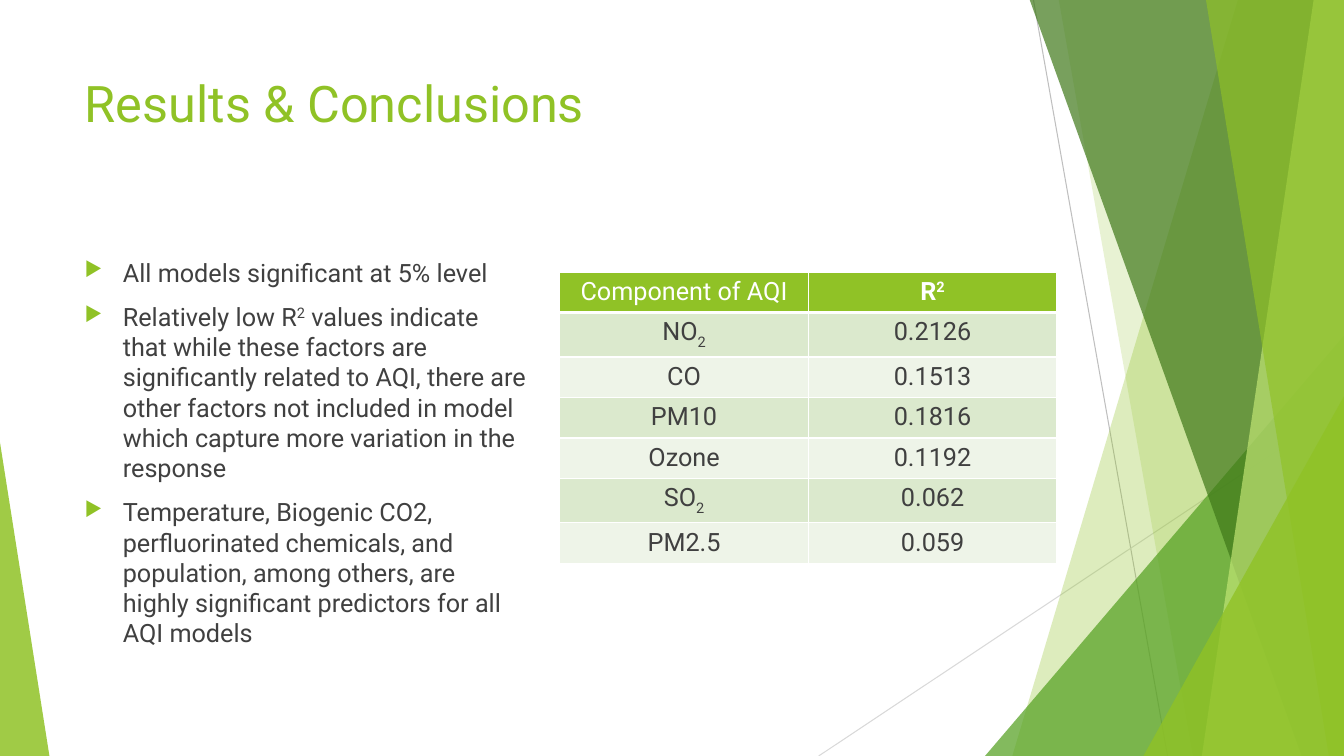
from dataclasses import dataclass

from lxml import etree
from pptx import Presentation
from pptx.dml.color import RGBColor
from pptx.enum import shapes as kinds
from pptx.enum import text as txt
from pptx.oxml.ns import qn
from pptx.util import Inches, Pt

FONT = "Roboto"
COLORS = {
    "lime": "90C226", "leaf": "54A021", "forest": "3F7819", "pale": "C0E474",
    "body": "404040", "white": "FFFFFF", "rule": "BFBFBF", "light_rule": "D9D9D9",
    "band_dark": "DBE9CD", "band_light": "EEF4E8",
}
TOP, RIGHT, BOTTOM = -0.01, 13.33, 7.5


@dataclass
class Rule:
    start: tuple[float, float]
    end: tuple[float, float]
    color: str


@dataclass
class Facet:
    """A panel reaching the right edge, with a slanted left side."""
    top_x: float
    bottom_x: float
    color: str
    opacity: int


@dataclass
class Corner:
    """A right triangle standing on the bottom edge."""
    left: float
    top: float
    width: float
    apex: float
    color: str
    opacity: int


@dataclass
class Piece:
    text: str
    baseline: int = 0


RULES = [
    Rule((10.25, 0), (11.58, BOTTOM), "rule"),
    Rule((RIGHT, 4.03), (8.12, BOTTOM), "light_rule"),
]
DECOR = [
    Facet(12.28, 10.04, "lime", 30),
    Facet(10.5, 11.83, "lime", 20),
    Corner(9.77, 3.33, 3.56, 1, "leaf", 72),
    Facet(10.21, 12.91, "forest", 70),
    Facet(13.03, 11.92, "pale", 70),
    Facet(11.96, 13.18, "lime", 65),
    Corner(11.34, 3.93, 1.99, 1, "lime", 80),
    Corner(0, 4.39, 0.49, 0, "lime", 85),
]
SQUARED = Piece("2", 30)
SUB_TWO = Piece("2", -25)
FINDINGS = [
    [Piece("All models significant at 5% level")],
    [Piece("Relatively low R"), SQUARED,
     Piece(" values indicate that while these factors are significantly related to AQI, "
           "there are other factors not included in model which capture more variation "
           "in the response")],
    [Piece("Temperature, Biogenic CO2, perfluorinated chemicals, and population, "
           "among others, are highly significant predictors for all AQI models")],
]
SCORES = [
    ([Piece("Component of AQI")], [Piece("R"), SQUARED]),
    ([Piece("NO"), SUB_TWO], [Piece("0.2126")]),
    ([Piece("CO")], [Piece("0.1513")]),
    ([Piece("PM10")], [Piece("0.1816")]),
    ([Piece("Ozone")], [Piece("0.1192")]),
    ([Piece("SO"), SUB_TWO], [Piece("0.062")]),
    ([Piece("PM2.5")], [Piece("0.059")]),
]


def rgb(name: str) -> RGBColor:
    return RGBColor.from_string(COLORS[name])


def style_font(font, size: float, color: str, bold: bool = False) -> None:
    font.name, font.size, font.bold = FONT, Pt(size), bold
    font.color.rgb = rgb(color)


def write_pieces(paragraph, pieces: list[Piece], color: str, bold: bool = False) -> None:
    for piece in pieces:
        run = paragraph.add_run()
        run.text = piece.text
        style_font(run.font, 18, color, bold)
        if piece.baseline:
            run._r.get_or_add_rPr().set("baseline", str(piece.baseline * 1000))


def draw_rule(slide, rule: Rule) -> None:
    line = slide.shapes.add_connector(
        kinds.MSO_CONNECTOR.STRAIGHT, *map(Inches, rule.start + rule.end))
    line.line.color.rgb = rgb(rule.color)
    line.line.width = Pt(0.75)
    etree.SubElement(line._element.spPr, qn("a:effectLst"))


def draw_decor(slide, part: Facet | Corner) -> None:
    if isinstance(part, Facet):
        outline = [(part.top_x, TOP), (RIGHT, TOP), (RIGHT, BOTTOM), (part.bottom_x, BOTTOM)]
        points = [(Inches(x), Inches(y)) for x, y in outline]
        builder = slide.shapes.build_freeform(*points[0])
        builder.add_line_segments(points[1:], close=True)
        panel = builder.convert_to_shape()
    else:
        panel = slide.shapes.add_shape(
            kinds.MSO_SHAPE.ISOSCELES_TRIANGLE, Inches(part.left), Inches(part.top),
            Inches(part.width), Inches(BOTTOM - part.top))
        panel.adjustments[0] = part.apex
    panel.shadow.inherit = False
    panel.line.fill.background()
    panel.fill.solid()
    panel.fill.fore_color.rgb = rgb(part.color)
    tint = panel._element.spPr.find(f".//{qn('a:srgbClr')}")
    etree.SubElement(tint, qn("a:alpha"), val=str(part.opacity * 1000))


def add_bullet(paragraph) -> None:
    props = paragraph._p.get_or_add_pPr()
    props.set("marL", str(Inches(0.38)))
    props.set("indent", str(-Inches(0.38)))
    bullet_color = etree.SubElement(props, qn("a:buClr"))
    etree.SubElement(bullet_color, qn("a:srgbClr"), val=COLORS["lime"])
    etree.SubElement(props, qn("a:buSzPct"), val="80000")
    etree.SubElement(props, qn("a:buChar"), char="▶")


def draw_findings(slide) -> None:
    frame = slide.shapes.add_textbox(
        Inches(0.74), Inches(2.36), Inches(4.58), Inches(4.24)).text_frame
    frame.word_wrap = True
    for index, finding in enumerate(FINDINGS):
        paragraph = frame.add_paragraph() if index else frame.paragraphs[0]
        add_bullet(paragraph)
        paragraph.space_before = Pt(10 if index else 0)
        write_pieces(paragraph, finding, "body")
    frame.margin_top = Inches(0.05) + Pt(10)


def border_cell(cell, bottom_width: float) -> None:
    props = cell._tc.get_or_add_tcPr()
    for side, width in (("L", 1), ("R", 1), ("T", 1), ("B", bottom_width)):
        edge = etree.SubElement(props, qn(f"a:ln{side}"), w=str(Pt(width)))
        fill = etree.SubElement(edge, qn("a:solidFill"))
        etree.SubElement(fill, qn("a:srgbClr"), val=COLORS["white"])


def draw_scores(slide) -> None:
    table = slide.shapes.add_table(
        len(SCORES), 2, Inches(5.55), Inches(2.7), Inches(4.93), Inches(2.81)).table
    table.columns[0].width, table.columns[1].width = Inches(2.47), Inches(2.46)
    for row, entries in enumerate(SCORES):
        header = row == 0
        band = "lime" if header else "band_dark" if row % 2 else "band_light"
        for column, pieces in enumerate(entries):
            cell = table.cell(row, column)
            border_cell(cell, 3 if header else 1)
            cell.fill.solid()
            cell.fill.fore_color.rgb = rgb(band)
            paragraph = cell.text_frame.paragraphs[0]
            paragraph.alignment = txt.PP_ALIGN.CENTER
            write_pieces(paragraph, pieces, "white" if header else "body",
                         bold=header and column == 1)


def draw_title(slide) -> None:
    title = slide.shapes.title
    title.left, title.top = Inches(0.74), Inches(0.67)
    title.width, title.height = Inches(9.4), Inches(1.44)
    title.text_frame.text = "Results & Conclusions"
    title.text_frame.vertical_anchor = txt.MSO_ANCHOR.TOP
    heading = title.text_frame.paragraphs[0]
    heading.alignment = txt.PP_ALIGN.LEFT
    style_font(heading.runs[0].font, 36, "lime")


def main() -> None:
    deck = Presentation()
    deck.slide_width, deck.slide_height = Inches(RIGHT), Inches(BOTTOM)
    slide = deck.slides.add_slide(deck.slide_layouts[5])
    # Background lines and translucent panels
    for rule in RULES:
        draw_rule(slide, rule)
    for part in DECOR:
        draw_decor(slide, part)
    # Title, findings and model scores
    draw_title(slide)
    draw_findings(slide)
    draw_scores(slide)
    deck.save("out.pptx")


if __name__ == "__main__":
    main()
